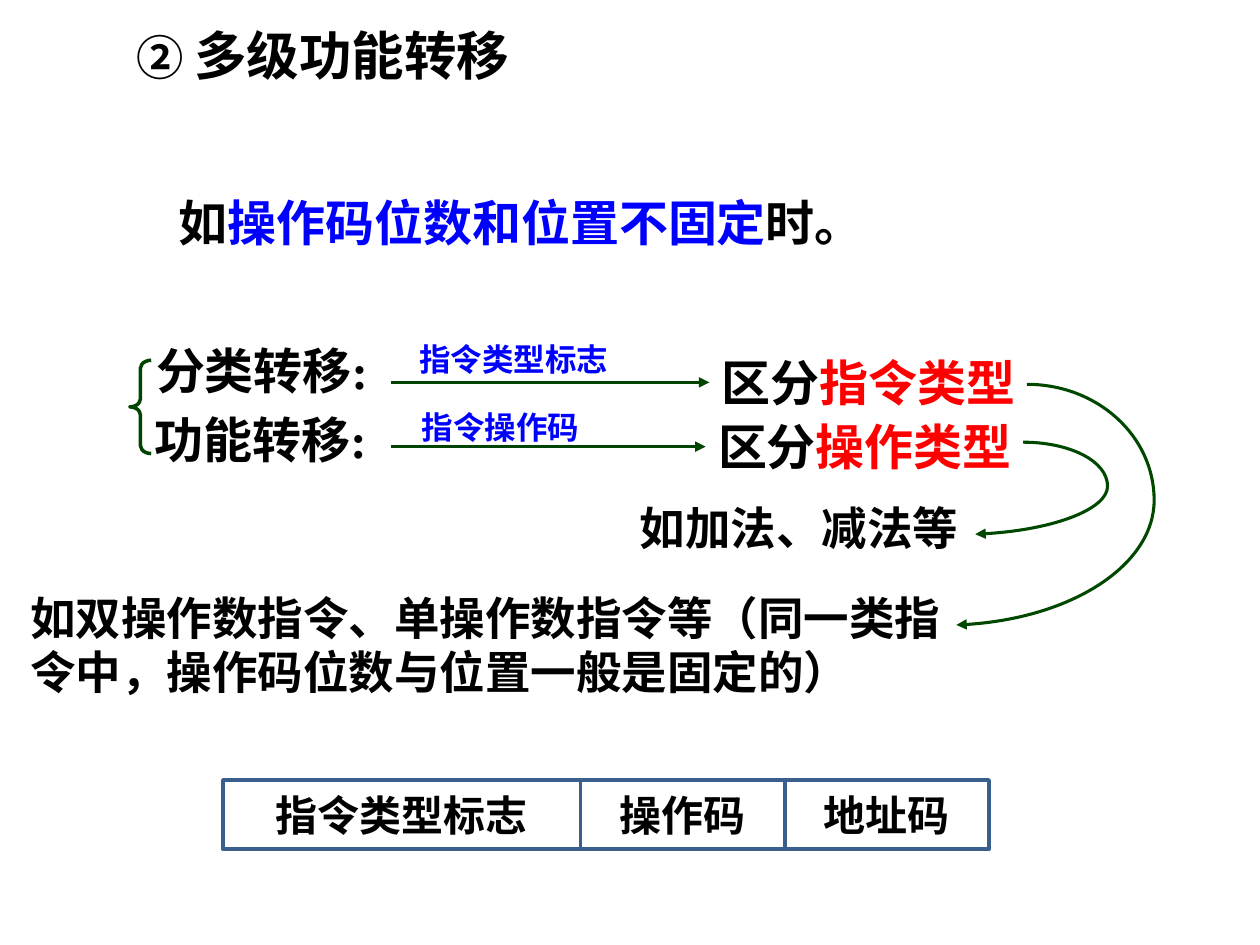
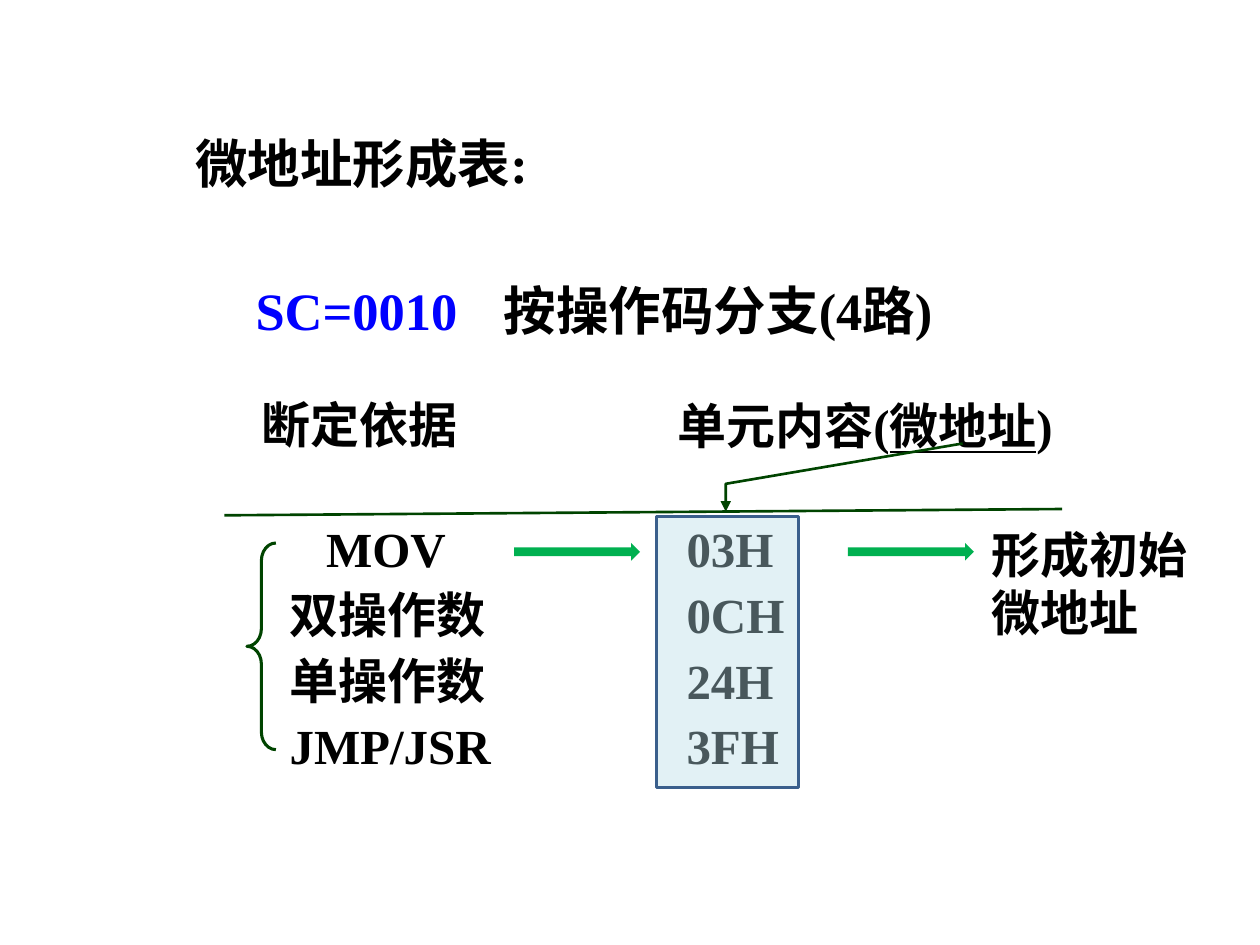
from collections import namedtuple

from lxml import etree
from pptx import Presentation
from pptx.dml.color import RGBColor
from pptx.enum.shapes import MSO_CONNECTOR, MSO_SHAPE
from pptx.enum.text import MSO_ANCHOR, MSO_AUTO_SIZE, PP_ALIGN
from pptx.oxml.ns import qn
from pptx.util import Inches, Pt

BLACK = RGBColor(0, 0, 0)
BLUE = RGBColor(0, 0, 0xFF)
RED = RGBColor(0xFF, 0, 0)
DARK = RGBColor(0, 0x44, 0)
CURVE = RGBColor(0, 0x48, 0)
GREEN = RGBColor(0, 0xB0, 0x50)
PALE = RGBColor(0xB7, 0xDE, 0xE8)
STEEL = RGBColor(0x3A, 0x5F, 0x8C)

STRAIGHT = MSO_CONNECTOR.STRAIGHT
BRACE = MSO_SHAPE.LEFT_BRACE
PROCESS = MSO_SHAPE.FLOWCHART_PROCESS
RECT = MSO_SHAPE.RECTANGLE
ARROW = MSO_SHAPE.RIGHT_ARROW
TOP, MIDDLE = MSO_ANCHOR.TOP, MSO_ANCHOR.MIDDLE
LEFT, CENTER = PP_ALIGN.LEFT, PP_ALIGN.CENTER
FIXED = MSO_AUTO_SIZE.NONE

# The slide is a grid of 100 columns and 75 rows of square cells.
COLS, ROWS = 100, 75
CELL = Inches(0.1)
BASE = {"name": "Times New Roman", "bold": True, "size": Pt(28)}
LINE = 5.7  # rows taken by one line of 28 pt text


def emu(cells):
    return round(cells * CELL)


class Box(namedtuple("Box", "x y w h")):
    def sub(self, x, y, w, h):
        """Return a box placed relative to this one."""
        return Box(self.x + x, self.y + y, w, h)

    def emus(self):
        return [emu(part) for part in self]


PAGE = Box(0, 0, COLS, ROWS)


def write(frame, runs, size=28, color=BLACK, align=LEFT, anchor=TOP):
    """Fill a text frame; a run is a string or a (string, format) pair."""
    for key, value in {"word_wrap": True, "auto_size": FIXED,
                       "vertical_anchor": anchor}.items():
        setattr(frame, key, value)
    para = frame.paragraphs[0]
    para.alignment = align
    for item in [runs] if isinstance(runs, str) else runs:
        words, extra = (item, {}) if isinstance(item, str) else item
        run = para.add_run()
        run.text = words
        form = {**BASE, "size": Pt(size), **extra}
        run.font.color.rgb = form.pop("color", color)
        for key, value in form.items():
            setattr(run.font, key, value)


def text(slide, box, runs, **form):
    label = slide.shapes.add_textbox(*box.emus())
    write(label.text_frame, runs, **form)
    return label


def title(slide, box, runs):
    head = slide.shapes.title
    head.left, head.top, head.width, head.height = box.emus()
    write(head.text_frame, runs, size=30)


def stroke(item, color, width, tip=False):
    item.line.color.rgb = color
    item.line.width = Pt(width)
    if tip:
        ln = item.element.find(".//" + qn("a:ln"))
        etree.SubElement(ln, qn("a:tailEnd"), type="triangle")


def shape(slide, kind, box, fill=None, line=None, width=2):
    item = slide.shapes.add_shape(kind, *box.emus())
    item.shadow.inherit = False
    if fill is None:
        item.fill.background()
    else:
        item.fill.solid()
        item.fill.fore_color.rgb = fill
    if line is None:
        item.line.fill.background()
    else:
        stroke(item, line, width)
    return item


def brace(slide, box, bend, width):
    item = shape(slide, BRACE, box, line=DARK, width=width)
    item.adjustments[0] = bend


def link(slide, start, end, width, tip=False):
    ends = [emu(part) for part in (*start, *end)]
    item = slide.shapes.add_connector(STRAIGHT, *ends)
    stroke(item, DARK, width, tip)
    etree.SubElement(item.element.spPr, qn("a:effectLst"))
    return item


def trail(slide, box, points, color, width, curved=False):
    """Draw an open arrow; if curved, each three points form a Bezier."""
    (x, y), *rest = [(emu(box.x + px), emu(box.y + py)) for px, py in points]
    pen = slide.shapes.build_freeform(x, y)
    pen.add_line_segments(rest, close=False)
    item = pen.convert_to_shape()
    item.shadow.inherit = False
    item.fill.background()
    stroke(item, color, width, tip=True)
    if curved:
        steps = item.element.findall(".//" + qn("a:lnTo"))
        for first in range(0, len(steps), 3):
            trio = steps[first:first + 3]
            bend = etree.Element(qn("a:cubicBezTo"))
            trio[0].addprevious(bend)
            for step in trio:
                bend.append(step[0])
                step.getparent().remove(step)


def jumps(slide, box):
    """Two kinds of jump, each with a labelled arrow to its result."""
    brace(slide, box.sub(0, 2.1, 1.7, 7.4), 0.37, 2)
    rows = [("分类转移:", 1.1, 0, "指令类型标志", 22, 0, "指令类型", 46, 1),
            ("功能转移:", 1, 5.5, "指令操作码", 22.2, 5.4, "操作类型", 45.7, 6.1)]
    for name, nx, ny, mark, mx, my, kind, kx, ky in rows:
        text(slide, box.sub(nx, ny, 26, LINE), name)
        text(slide, box.sub(mx, my, 24, 4), mark, size=18, color=BLUE)
        goal = text(slide, box.sub(kx, ky, 30.8, LINE),
                    ["区分", (kind, {"color": RED})])
        mid = box.y + ky + LINE / 2
        arrow = link(slide, (box.x + 20.7, mid), (box.x + kx, mid), 1.75, True)
        arrow.end_connect(goal, 1)


def cases(slide, box):
    """Examples, with arcs leading down to them from the results above."""
    text(slide, box.sub(48.4, 8.7, 29.7, 5.3), "如加法、减法等", size=26)
    text(slide, box.sub(0, 15.8, 75.9, 9.8),
         "如双操作数指令、单操作数指令等（同一类指令中，操作码位数与位置一般是固定的）",
         size=26)
    arcs = [
        [(80.1, 0), (85.7, 0), (90.2, 4.1), (90.2, 9.2),
         (90.2, 14.3), (83.4, 18.8), (74.5, 19.1)],
        [(79.8, 4.6), (83.5, 4.6), (86.5, 6.1), (86.5, 8.1),
         (86.5, 9.9), (81.9, 11.7), (76, 11.9)],
    ]
    for points in arcs:
        trail(slide, box, points, CURVE, 1.75, curved=True)


def fields(slide, box):
    """Instruction format: adjoining fields sharing the width of the box."""
    parts = [("指令类型标志", 28), ("操作码", 16), ("地址码", 16)]
    unit = box.w / sum(share for _, share in parts)
    left = 0
    for name, share in parts:
        cell = shape(slide, PROCESS, box.sub(left, 0, share * unit, box.h),
                     line=STEEL)
        write(cell.text_frame, name, size=24, align=CENTER, anchor=MIDDLE)
        left += share * unit


def header(slide, box):
    """Column heads, the rule below them and the pointer to the cells."""
    text(slide, box.sub(2, 0, 31.1, LINE), "断定依据")
    text(slide, box.sub(35, 0.1, 38.3, LINE),
         ["单元内容(", ("微地址", {"underline": True}), ")"])
    link(slide, (box.x, box.y + 10.1), (box.x + box.w, box.y + 9.6), 1.5)
    trail(slide, box, [(58.6, 4.4), (39.8, 7.6), (39.8, 9.8)], DARK, 1.5)


def lookup(slide, box):
    """Rows of conditions and addresses, and the result they form."""
    rows = [("MOV", "03H"), ("双操作数", "0CH"),
            ("单操作数", "24H"), ("JMP/JSR", "3FH")]
    pitch = 5.2
    brace(slide, box.sub(0, 2.4, 2.3, 16.4), 0.61, 1.75)
    for row, (name, code) in enumerate(rows):
        indent = 5.3 if row == 0 else 2.4
        text(slide, box.sub(indent, row * pitch, 22.6, LINE), name)
        text(slide, box.sub(33.9, row * pitch, 13.5, LINE), code)
    veil = shape(slide, RECT, box.sub(32.5, 0.3, 11.3, 21.5), PALE, STEEL)
    tint = veil.element.find(".//" + qn("a:solidFill"))[0]
    etree.SubElement(tint, qn("a:alpha"), val="40000")
    for left in (21.2, 47.7):
        shape(slide, ARROW, box.sub(left, 2.4, 10, 1.4), GREEN)
    text(slide, box.sub(58.1, 0.4, 18.1, 10.4), "形成初始微地址")


def transfer(slide, page):
    title(slide, page.sub(9.8, 1.3, 59.1, 6),
          [("②", {"size": Pt(27)}), (" ", {"size": Pt(28)}), "多级功能转移"])
    text(slide, page.sub(13.2, 14.8, 62.2, LINE),
         ["如", ("操作码位数和位置不固定", {"color": BLUE}), "时。"])
    jumps(slide, page.sub(10.3, 26.5, 77, 12))
    cases(slide, page.sub(1.4, 30.5, 91, 26))
    fields(slide, page.sub(17.7, 61.9, 60.8, 5.5))


def address(slide, page):
    title(slide, page.sub(14.5, 9.9, 33, 6), "微地址形成表:")
    text(slide, page.sub(19.3, 21.6, 23.3, 6), "SC=0010", size=30, color=BLUE)
    text(slide, page.sub(39, 21.6, 42.6, 6), "按操作码分支(4路)", size=30)
    header(slide, page.sub(17.8, 30.8, 66.5, 10))
    lookup(slide, page.sub(19.6, 40.7, 76, 22))


def main():
    deck = Presentation()
    deck.slide_width, deck.slide_height = emu(COLS), emu(ROWS)
    layout = deck.slide_layouts.get_by_name("Title Only")
    for build in (transfer, address):
        build(deck.slides.add_slide(layout), PAGE)
    deck.save("out.pptx")


if __name__ == "__main__":
    main()
